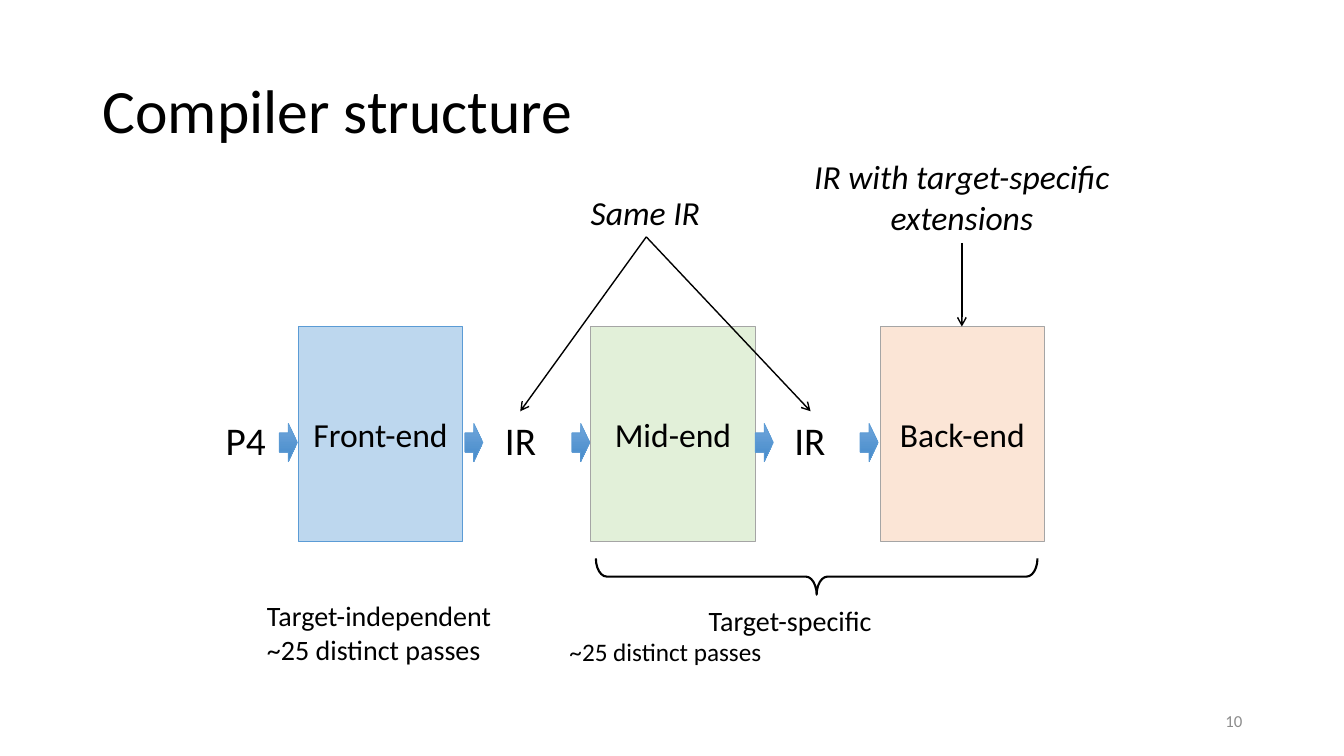
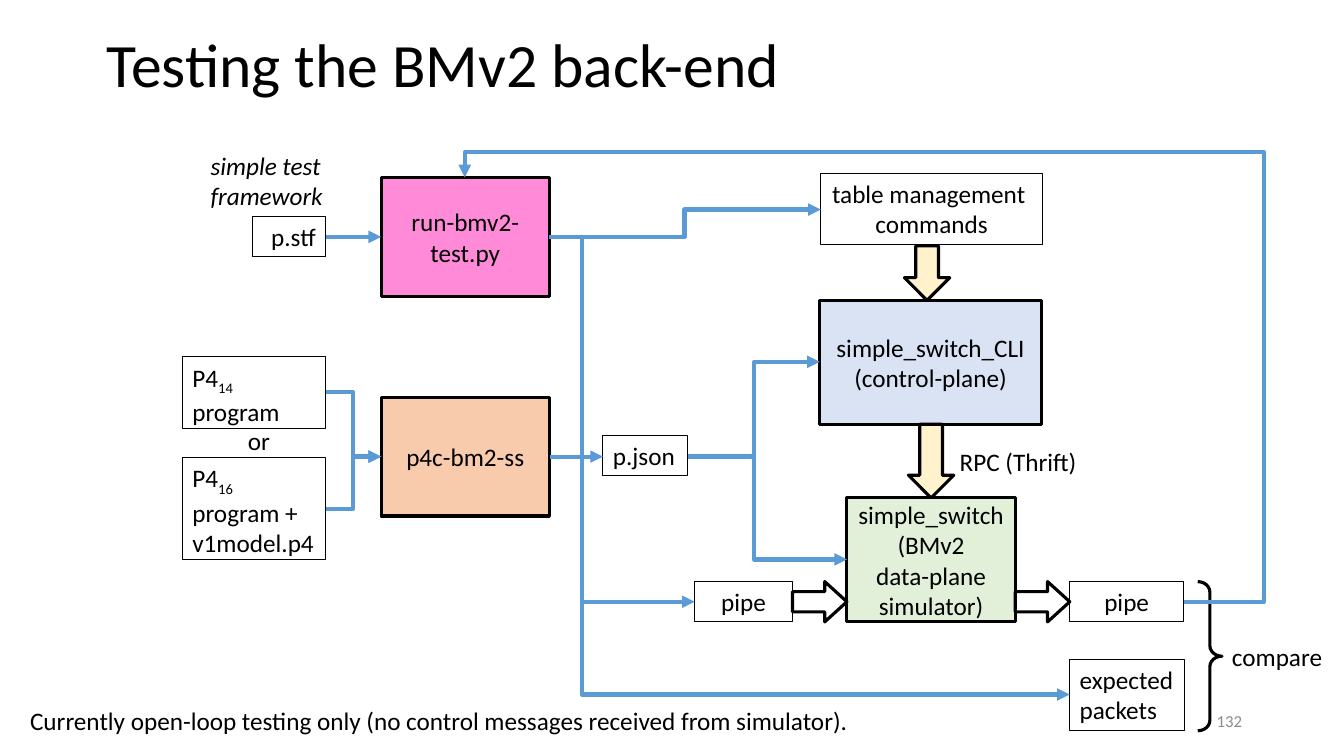
import lxml.etree
import pptx
import pptx.dml.color
import pptx.enum.shapes
import pptx.enum.text
import pptx.oxml.ns
import pptx.util

RGB = pptx.dml.color.RGBColor
KIND = pptx.enum.shapes.MSO_SHAPE
JOIN = pptx.enum.shapes.MSO_CONNECTOR
ALIGN = pptx.enum.text.PP_ALIGN
ANCHOR = pptx.enum.text.MSO_ANCHOR
FIT = pptx.enum.text.MSO_AUTO_SIZE
qn = pptx.oxml.ns.qn

FONT = "Calibri"
BLACK = RGB(0x00, 0x00, 0x00)
WHITE = RGB(0xFF, 0xFF, 0xFF)
GREY = RGB(0x8C, 0x8C, 0x8C)
EDGE = RGB(0xA5, 0xA5, 0xA5)
BLUE = RGB(0x5B, 0x9B, 0xD5)
LIGHT = RGB(0x71, 0xA6, 0xDB)
DEEP = RGB(0x44, 0x8A, 0xCA)
SKY = RGB(0xBD, 0xD7, 0xEE)
PALE = RGB(0xDA, 0xE3, 0xF3)
GREEN = RGB(0xE2, 0xF0, 0xD9)
PEACH = RGB(0xFB, 0xE5, 0xD6)
ORANGE = RGB(0xF8, 0xCB, 0xAD)
PINK = RGB(0xFF, 0x8A, 0xD8)
CREAM = RGB(0xFF, 0xF2, 0xCC)


def px(count):
    return pptx.util.Emu(count * 9144)


def write(shape, text, size=18, ink=BLACK, align=ALIGN.LEFT, anchor=ANCHOR.TOP,
          slant=False, wrap=True, grow=False, space=None):
    frame = shape.text_frame
    frame.word_wrap = wrap
    frame.auto_size = FIT.SHAPE_TO_FIT_TEXT if grow else FIT.NONE
    frame.vertical_anchor = anchor
    for row, line in enumerate(text.split("\n")):
        para = frame.add_paragraph() if row else frame.paragraphs[0]
        para.alignment = align
        para.line_spacing = space
        for part, chunk in enumerate(line.split("|")):
            for turn, words in enumerate(chunk.split("\v")):
                if turn:
                    para.add_line_break()
                if not words:
                    continue
                run = para.add_run()
                run.text = words
                font = run.font
                font.name = FONT
                font.size = pptx.util.Pt(size)
                font.italic = slant
                font.color.rgb = ink
                if part % 2:
                    font._element.set("baseline", "-25000")


def label(slide, text, at, **look):
    shape = slide.shapes.add_textbox(*map(px, at))
    write(shape, text, **look)


def note(slide, text, at, **look):
    label(slide, text, at, wrap=False, grow=True, **look)


def draw(slide, kind, at, fill=None, ink=BLACK, wide=2.25, bends=()):
    shape = slide.shapes.add_shape(kind, *map(px, at))
    shape.shadow.inherit = False
    if fill is None:
        shape.fill.background()
    else:
        shape.fill.solid()
        shape.fill.fore_color.rgb = fill
    shape.line.color.rgb = ink
    shape.line.width = pptx.util.Pt(wide)
    for slot, bend in enumerate(bends):
        shape.adjustments[slot] = bend
    return shape


def block(slide, text, at, fill, size=18, **edge):
    shape = draw(slide, KIND.RECTANGLE, at, fill, **edge)
    write(shape, text, size=size, align=ALIGN.CENTER, anchor=ANCHOR.MIDDLE)


def card(slide, text, at, align=ALIGN.LEFT, wrap=True):
    shape = draw(slide, KIND.RECTANGLE, at, wide=0.75)
    write(shape, text, align=align, wrap=wrap, grow=True)


def shade(slide, at):
    shape = draw(slide, KIND.RIGHT_ARROW, at, ink=BLUE, wide=0.5)
    shape.fill.gradient()
    shape.fill.gradient_angle = 270
    for stop, tone in zip(shape.fill.gradient_stops, (LIGHT, DEEP)):
        stop.color.rgb = tone


def link(slide, start, end, turns=(), ink=BLUE, wide=3, tip="triangle"):
    kind = JOIN.ELBOW if turns else JOIN.STRAIGHT
    line = slide.shapes.add_connector(kind, *map(px, start + end))
    line.line.color.rgb = ink
    line.line.width = pptx.util.Pt(wide)
    frame = line.element.spPr
    lxml.etree.SubElement(frame.find(qn("a:ln")), qn("a:tailEnd"), type=tip)
    lxml.etree.SubElement(frame, qn("a:effectLst"))
    if turns:
        shape = frame.find(qn("a:prstGeom"))
        shape.set("prst", f"bentConnector{len(turns) + 2}")
        bends = shape.find(qn("a:avLst"))
        for slot, turn in enumerate(turns):
            ratio = (turn - start[slot]) / (end[slot] - start[slot])
            lxml.etree.SubElement(bends, qn("a:gd"), name=f"adj{slot + 1}",
                                  fmla=f"val {round(ratio * 100000)}")


def start(deck, title, at, page):
    slide = deck.slides.add_slide(deck.slide_layouts[6])
    label(slide, title, at, size=44, anchor=ANCHOR.MIDDLE, space=0.9)
    label(slide, page, (942, 695, 300, 40), size=12, ink=GREY,
          align=ALIGN.RIGHT, anchor=ANCHOR.MIDDLE)
    return slide


def stages(deck):
    slide = start(deck, "Compiler structure", (92, 40, 1150, 145), "10")
    for text, left, fill, ink in (("Front-end", 296, SKY, BLUE),
                                  ("Mid-end", 586, GREEN, EDGE),
                                  ("Back-end", 873, PEACH, EDGE)):
        block(slide, text, (left, 324, 163, 213), fill, size=24, ink=ink, wide=0.5)
    for text, left, wide in (("P4", 214, 60), ("IR", 491, 51), ("IR", 778, 51)):
        note(slide, text, (left, 408, wide, 57), size=28)
    for left in (277, 461, 567, 749, 853):
        shade(slide, (left, 420, 18, 38))
    brace = draw(slide, KIND.LEFT_BRACE, (792, 353, 36, 438), wide=1.5,
                 bends=(0.3, 0.5))
    brace.rotation = 270
    note(slide, "Target-specific", (693, 594, 185, 44), size=20)
    note(slide, "Target-independent\n~25 distinct passes", (255, 589, 246, 77), size=20)
    note(slide, "~25 distinct passes", (555, 626, 213, 40))
    note(slide, "Same IR", (576, 185, 130, 50), size=24, slant=True)
    note(slide, "IR with target-specific\nextensions", (796, 150, 316, 91),
         size=24, slant=True, align=ALIGN.CENTER)
    for tail, head in (((641, 235), (516, 408)), ((641, 235), (804, 408)),
                       ((954, 241), (954, 324))):
        link(slide, tail, head, ink=BLACK, wide=1, tip="arrow")


def testing(deck):
    slide = start(deck, "Testing the BMv2 back-end", (96, 20, 1150, 94), "132")
    for text, at, fill in (
            ("run-bmv2-test.py", (378, 176, 167, 118), PINK),
            ("p4c-bm2-ss", (378, 394, 167, 118), ORANGE),
            ("simple_switch_CLI\n(control-plane)", (813, 298, 220, 123), PALE),
            ("simple_switch\v(BMv2\vdata-plane simulator)",
             (840, 494, 167, 123), GREEN)):
        block(slide, text, at, fill)

    card(slide, "p.stf", (250, 215, 73, 40), align=ALIGN.RIGHT)
    card(slide, "P4|14\v|program", (181, 354, 142, 71))
    card(slide, "P4|16 \v|program +\nv1model.p4", (181, 454, 142, 101), wrap=False)
    card(slide, "p.json", (598, 432, 84, 40))
    card(slide, "table management \vcommands", (814, 172, 220, 71),
         align=ALIGN.CENTER, wrap=False)
    card(slide, "expected\vpackets", (1061, 654, 114, 71), wrap=False)
    for left, wide in ((689, 97), (1061, 113)):
        card(slide, "pipe", (left, 577, wide, 40), align=ALIGN.CENTER)

    for left in (786, 1007):
        draw(slide, KIND.RIGHT_ARROW, (left, 577, 54, 40), WHITE, bends=(0.5, 0.55))
    for at in ((897, 244, 45, 54), (901, 421, 45, 73)):
        draw(slide, KIND.DOWN_ARROW, at, CREAM)
    draw(slide, KIND.RIGHT_BRACE, (1188, 577, 24, 148), bends=(0.43, 0.5))

    note(slide, "simple test\vframework", (199, 144, 132, 71), slant=True)
    for text, at in (
            ("or", (236, 417, 42, 40)),
            ("RPC (Thrift)", (942, 438, 138, 40)),
            ("compare", (1212, 631, 111, 40)),
            ("Currently open-loop testing only (no control messages "
             "received from simulator).", (20, 695, 841, 40))):
        note(slide, text, at)

    for tail, head, turns in (
            ((323, 235), (378, 235), ()),
            ((545, 453), (598, 453), ()),
            ((323, 389), (378, 453), (350,)),
            ((323, 505), (378, 453), (350,)),
            ((682, 453), (813, 359), (748,)),
            ((682, 453), (840, 555), (748,)),
            ((545, 235), (814, 208), (679,)),
            ((545, 235), (689, 597), (577,)),
            ((545, 235), (1061, 689), (577,)),
            ((1174, 597), (461, 176), (1254, 151))):
        link(slide, tail, head, turns)


def main():
    deck = pptx.Presentation()
    deck.slide_width = px(1333)
    deck.slide_height = px(750)
    stages(deck)
    testing(deck)
    deck.save("out.pptx")


if __name__ == "__main__":
    main()
